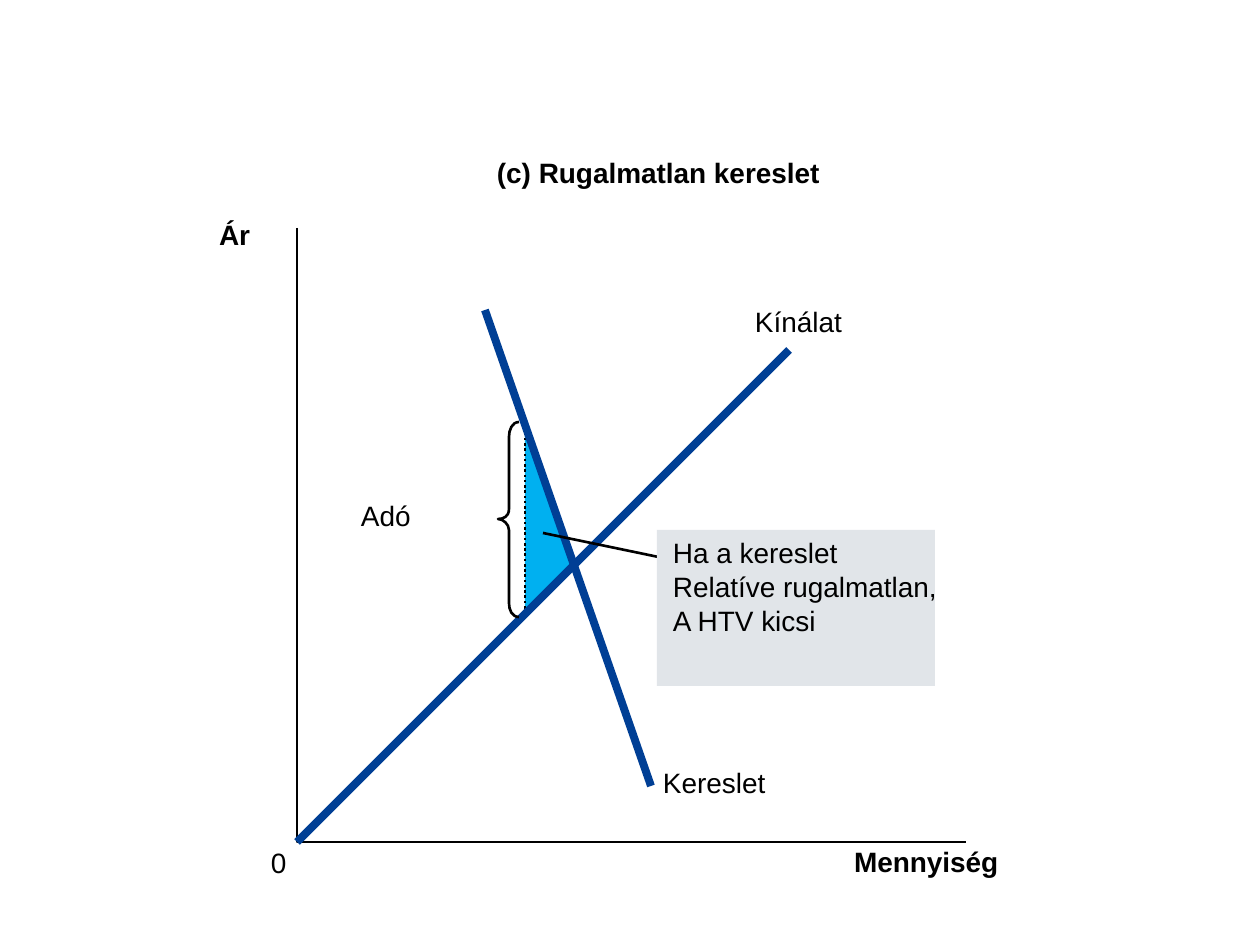
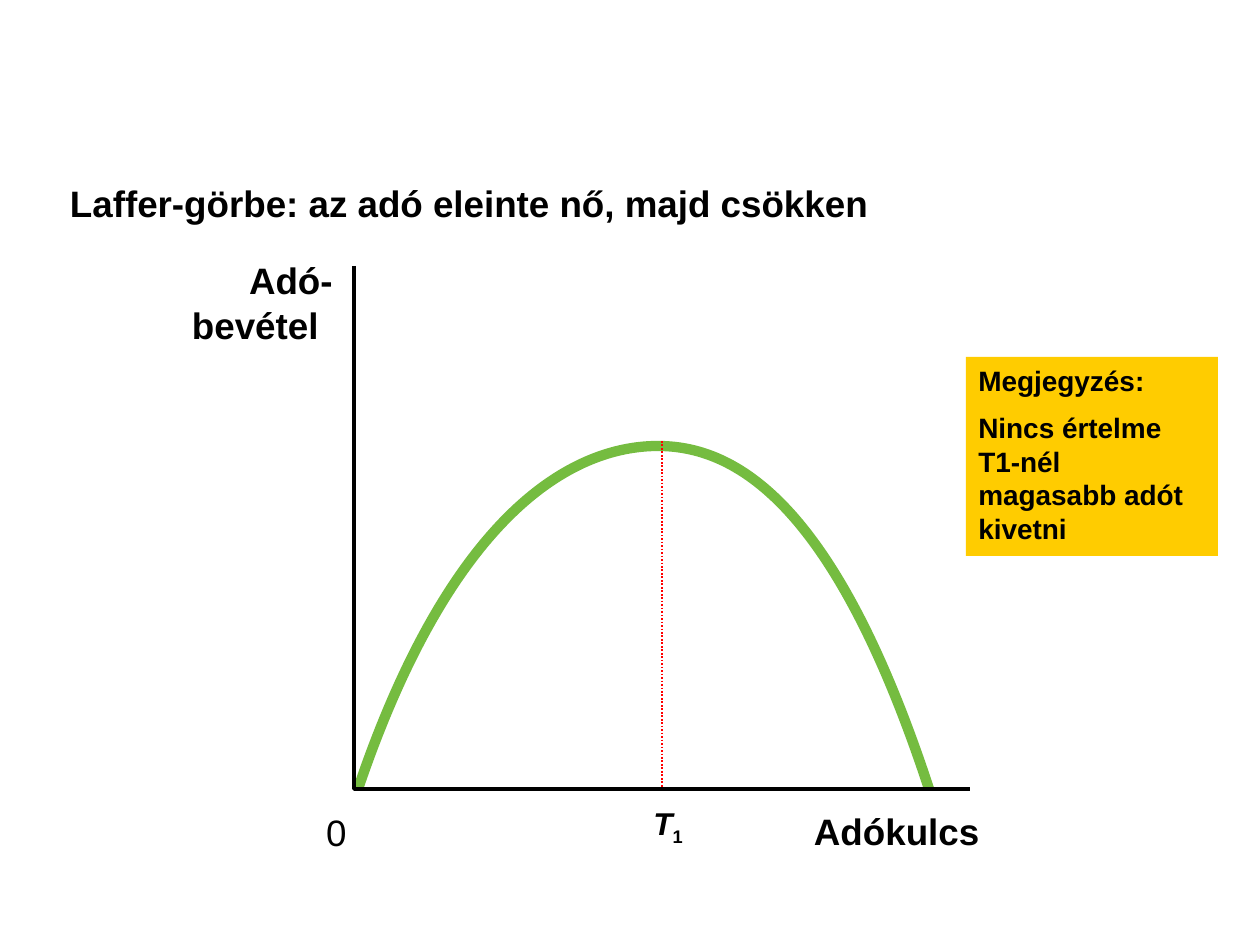
import pptx
import pptx.util
import pptx.dml.color
import pptx.enum.dml
import pptx.enum.shapes
import pptx.enum.text
import pptx.oxml.ns
from dataclasses import dataclass
from lxml import etree

EMU_PER_PX = 914400 / 126


@dataclass(frozen=True)
class Theme:
    font: str = "Arial"
    ink: str = "000000"
    curve: str = "003F95"
    loss: str = "00B0F0"
    callout: str = "E1E5E9"
    laffer: str = "75BC40"
    peak: str = "FF0000"
    note: str = "FFCC00"
    body: int = 16
    symbol: int = 18
    large: int = 21


THEME = Theme()

# Labels: text, left, top, width, bold
MARKET_LABELS = [
    ("Kereslet", 663, 766, 103, False),
    ("Kínálat", 755, 305, 88, False),
    ("(c) Rugalmatlan kereslet", 497, 156, 328, True),
    ("Ár", 219, 218, 32, True),
    ("0", 271, 846, 15, False),
    ("Mennyiség", 854, 845, 146, True),
    ("Adó", 361, 499, 50, False),
]
MARKET_AXES = [(297, 228), (297, 842), (966, 842)]
DEMAND = [(651, 786), (485, 310)]
SUPPLY = [(789, 350), (297, 842)]
TAX_WEDGE = [(525, 615), (525, 422), (575, 564)]
# Bezier curves: a start point, then segments of two controls and an end
BRACE = [
    (519, 422),
    [(512, 422), (509, 430), (509, 437)],
    [(509, 509), (509, 509), (509, 509)],
    [(509, 517), (503, 519), (498, 519)],
    [(503, 519), (509, 524), (509, 530)],
    [(509, 603), (509, 603), (509, 603)],
    [(509, 610), (512, 617), (519, 617)],
]
LOSS_LEADER = [(668, 559), (543, 533)]
LOSS_BOX = (657, 530, 278, 156)
LOSS_TEXT_BOX = (673, 536, 267, 102)
LOSS_TEXT = ["Ha a kereslet", "Relatíve rugalmatlan,", "A HTV kicsi"]

LAFFER_LABELS = [
    ("Laffer-görbe: az adó eleinte nő, majd csökken", 70, 181, 806, True),
    ("Adó-", 249, 258, 84, True),
    ("bevétel", 192, 303, 127, True),
    ("0", 326, 810, 20, False),
    ("Adókulcs", 814, 809, 166, True),
]
LAFFER_AXES = [(354, 266), (354, 789), (970, 789)]
LAFFER_CURVE = [
    (929, 789),
    [(839, 515), (743, 446), (658, 446)],
    [(571, 446), (451, 515), (358, 789)],
]
PEAK_LINE = [(662, 441), (662, 787)]
PEAK_BOX = (641, 798, 63, 50)
NOTE_BOX = (966, 357, 252, 199)
NOTE_TEXT = ["Megjegyzés:", "Nincs értelme T1-nél magasabb adót kivetni"]


def px(*values):
    return [round(v * EMU_PER_PX) for v in values]


def rgb(color):
    return pptx.dml.color.RGBColor.from_string(color)


def paint_fill(s, color):
    s.fill.solid()
    s.fill.fore_color.rgb = rgb(color)


def paint_line(s, color, width, dotted=False):
    s.line.color.rgb = rgb(color)
    s.line.width = pptx.util.Pt(width)
    if dotted:
        s.line.dash_style = pptx.enum.dml.MSO_LINE.ROUND_DOT


def style_font(font, size, bold=False):
    font.name = THEME.font
    font.size = pptx.util.Pt(size)
    font.bold = bold
    font.color.rgb = rgb(THEME.ink)


def write(tf, lines, size, bold=False, gap=0):
    tf.vertical_anchor = pptx.enum.text.MSO_ANCHOR.TOP
    tf.text = "\n".join(lines)
    for i, p in enumerate(tf.paragraphs):
        p.alignment = pptx.enum.text.PP_ALIGN.LEFT
        if i and gap:
            p.space_before = pptx.util.Pt(gap)
        for r in p.runs:
            style_font(r.font, size, bold)


def add_text(slide, box, lines, size, bold=False, wrap=False):
    tf = slide.shapes.add_textbox(*px(*box)).text_frame
    tf.margin_left = tf.margin_top = tf.margin_right = tf.margin_bottom = 0
    tf.word_wrap = wrap
    write(tf, lines, size, bold)


def add_labels(slide, labels, size):
    for text, left, top, width, bold in labels:
        add_text(slide, (left, top, width, size * 2.1), [text], size, bold)


def add_line(slide, ends, color, width, dotted=False):
    (x1, y1), (x2, y2) = ends
    s = slide.shapes.add_connector(
        pptx.enum.shapes.MSO_CONNECTOR.STRAIGHT, *px(x1, y1, x2, y2))
    paint_line(s, color, width, dotted)
    etree.SubElement(s._element.spPr, pptx.oxml.ns.qn("a:effectLst"))


def add_outline(slide, points, close=False):
    builder = slide.shapes.build_freeform(*points[0], scale=EMU_PER_PX)
    builder.add_line_segments(points[1:], close=close)
    s = builder.convert_to_shape()
    s.shadow.inherit = False
    return s


def add_stroke(slide, points, color, width):
    s = add_outline(slide, points)
    s.fill.background()
    paint_line(s, color, width)
    return s


def add_curve(slide, curve, color, width):
    """Draw straight segments between the ends, then bend each one."""
    start, *segments = curve
    ends = [start] + [segment[-1] for segment in segments]
    left, top = map(min, zip(*ends))
    s = add_stroke(slide, ends, color, width)
    qn = pptx.oxml.ns.qn
    for straight, segment in zip(list(s._element.iter(qn("a:lnTo"))), segments):
        bend = etree.Element(qn("a:cubicBezTo"))
        for x, y in segment:
            etree.SubElement(bend, qn("a:pt"), x=str(x - left), y=str(y - top))
        straight.getparent().replace(straight, bend)


def add_area(slide, points, color):
    s = add_outline(slide, points, close=True)
    paint_fill(s, color)
    s.line.fill.background()


def add_box(slide, box, color):
    s = slide.shapes.add_shape(
        pptx.enum.shapes.MSO_SHAPE.RECTANGLE, *px(*box))
    s.shadow.inherit = False
    paint_fill(s, color)
    s.line.fill.background()
    return s


def build_market(slide):
    add_area(slide, TAX_WEDGE, THEME.loss)
    add_line(slide, TAX_WEDGE[1::-1], THEME.ink, 1.5, dotted=True)
    add_stroke(slide, MARKET_AXES, THEME.ink, 1.5)
    for line in (DEMAND, SUPPLY):
        add_line(slide, line, THEME.curve, 4.5)
    add_labels(slide, MARKET_LABELS, THEME.body)
    add_curve(slide, BRACE, THEME.ink, 1.5)
    add_line(slide, LOSS_LEADER, THEME.ink, 1.5)
    add_box(slide, LOSS_BOX, THEME.callout)
    add_text(slide, LOSS_TEXT_BOX, LOSS_TEXT, THEME.body, wrap=True)


def add_peak_label(slide):
    tf = slide.shapes.add_textbox(*px(*PEAK_BOX)).text_frame
    tf.word_wrap = True
    p = tf.paragraphs[0]
    for text in ("T", "1"):
        r = p.add_run()
        r.text = text
        style_font(r.font, THEME.symbol, bold=True)
    symbol, index = p.runs
    symbol.font.italic = True
    index.font._element.set("baseline", "-25000")


def build_laffer(slide):
    add_curve(slide, LAFFER_CURVE, THEME.laffer, 5.88)
    add_stroke(slide, LAFFER_AXES, THEME.ink, 2)
    add_labels(slide, LAFFER_LABELS, THEME.large)
    add_line(slide, PEAK_LINE, THEME.peak, 1, dotted=True)
    add_peak_label(slide)
    note = add_box(slide, NOTE_BOX, THEME.note)
    write(note.text_frame, NOTE_TEXT, THEME.body, bold=True, gap=8)


def main():
    prs = pptx.Presentation()
    prs.slide_width, prs.slide_height = px(1260, 945)
    for build in (build_market, build_laffer):
        build(prs.slides.add_slide(prs.slide_layouts[6]))
    prs.save("out.pptx")


if __name__ == "__main__":
    main()
